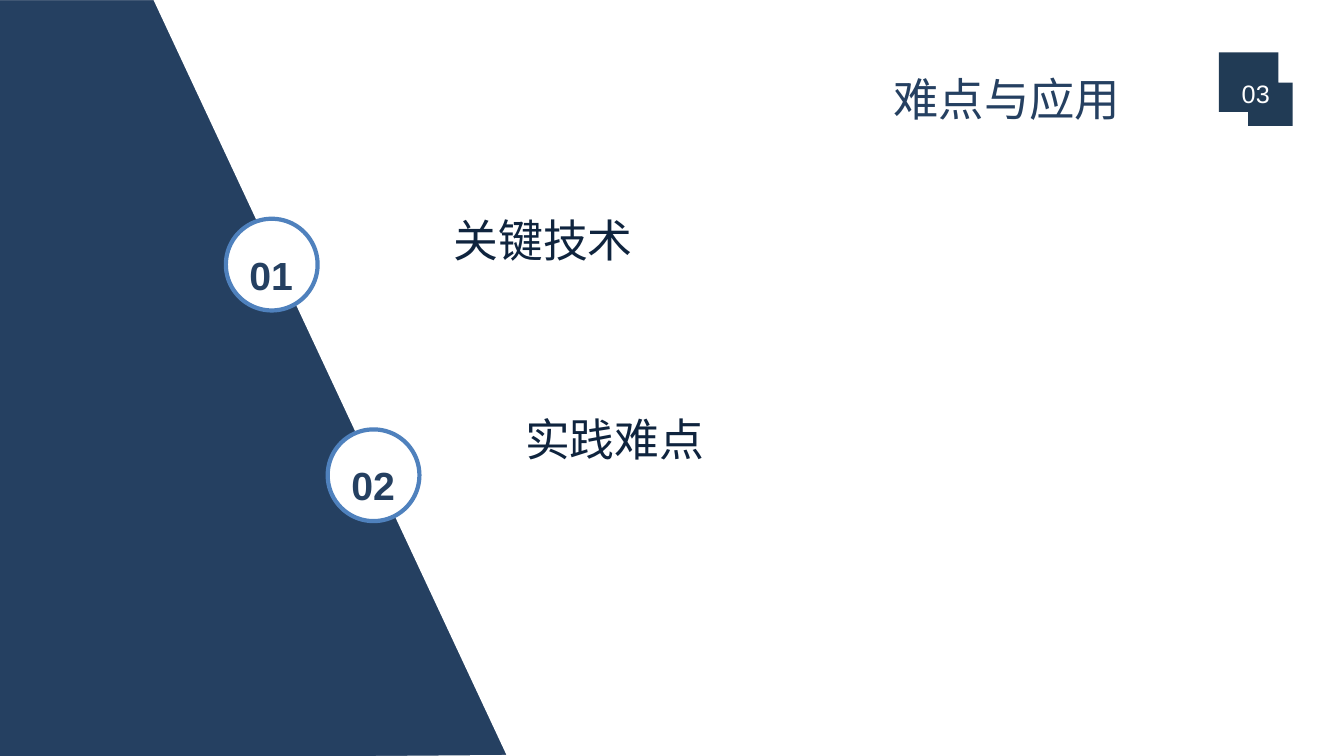
import pptx
import pptx.util
import pptx.dml.color
import pptx.enum.shapes
import pptx.enum.text
import pptx.oxml.ns
import lxml.etree

Inches = pptx.util.Inches
Pt = pptx.util.Pt
ALIGN = pptx.enum.text.PP_ALIGN
ANCHOR = pptx.enum.text.MSO_ANCHOR

NAVY = "254061"
BADGE = "213B55"
INK = "0F243E"
RING = "4F81BD"
WHITE = "FFFFFF"
LATIN = "Arial"
CJK = "Noto Sans CJK SC"


def color(value):
    return pptx.dml.color.RGBColor.from_string(value)


class Deck:
    def __init__(self, width, height):
        self.presentation = pptx.Presentation()
        self.presentation.slide_width = Inches(width)
        self.presentation.slide_height = Inches(height)
        self.slide = self.presentation.slides.add_slide(self.presentation.slide_layouts[6])

    def paint(self, shape, fill, line=None, weight=0):
        shape.shadow.inherit = False
        shape.fill.solid()
        shape.fill.fore_color.rgb = color(fill)
        if line:
            shape.line.color.rgb = color(line)
            shape.line.width = Pt(weight)
        else:
            shape.line.fill.background()

    def outline(self, points, fill, line=None, weight=0):
        corners = [(Inches(x), Inches(y)) for x, y in points]
        builder = self.slide.shapes.build_freeform(*corners[0])
        builder.add_line_segments(corners[1:], close=True)
        shape = builder.convert_to_shape()
        self.paint(shape, fill, line, weight)
        return shape

    def add_text(self, paragraph, text, size, ink, bold=False, font=LATIN,
                 align=ALIGN.CENTER, spacing=1.3):
        paragraph.alignment = align
        paragraph.line_spacing = spacing
        run = paragraph.add_run()
        run.text = text
        run.font.size = Pt(size)
        run.font.bold = bold
        run.font.name = font
        run.font.color.rgb = color(ink)
        east_asian = lxml.etree.SubElement(
            run.font._element, pptx.oxml.ns.qn("a:ea"))
        east_asian.set("typeface", CJK)

    def text_frame(self, parent, left, top, width, height, anchor=ANCHOR.TOP):
        box = parent.shapes.add_textbox(
            Inches(left), Inches(top), Inches(width), Inches(height))
        box.text_frame.word_wrap = True
        box.text_frame.vertical_anchor = anchor
        return box.text_frame

    def number_circle(self, left, top, number):
        group = self.slide.shapes.add_group_shape()
        circle = group.shapes.add_shape(
            pptx.enum.shapes.MSO_SHAPE.OVAL,
            Inches(left), Inches(top), Inches(0.91), Inches(0.91))
        self.paint(circle, WHITE, RING, 3)
        label = self.text_frame(group, left + 0.08, top + 0.13, 0.74, 0.65)
        self.add_text(label.paragraphs[0], number, 28, NAVY, bold=True)

    def title(self, text):
        frame = self.text_frame(self.slide, 7.04, 0.52, 5.89, 0.73, ANCHOR.BOTTOM)
        frame.margin_bottom = Inches(0)
        self.add_text(frame.paragraphs[0], text, 32.4, NAVY)

    def topics(self, names, gap, indent):
        frame = self.text_frame(self.slide, 4.4, 2.06, 8.5, 3.4)
        for index, name in enumerate(names):
            topic = frame.add_paragraph() if index else frame.paragraphs[0]
            self.add_text(topic, name, 32, INK, font=CJK, align=ALIGN.LEFT, spacing=1.0)
            if index:
                topic.space_before = Pt(gap)
                topic._p.get_or_add_pPr().set("marL", str(Inches(indent * index)))

    def badge(self, points, number):
        shape = self.outline(points, BADGE)
        shape.text_frame.vertical_anchor = ANCHOR.MIDDLE
        self.add_text(shape.text_frame.paragraphs[0], number, 18, WHITE)


def main():
    deck = Deck(13.33, 7.5)
    deck.title("难点与应用")
    names = ["关键技术", "实践难点"]
    deck.topics(names, gap=104, indent=0.71)
    deck.outline([(5.04, 7.5), (1.53, -0.01), (-0.03, -0.01), (-0.01, 7.54)],
                 NAVY, WHITE, 1.5)
    for index in range(len(names)):
        deck.number_circle(2.24 + 1.01 * index, 2.17 + 2.09 * index, f"{index + 1:02d}")
    deck.badge([(12.09, 0.52), (12.68, 0.52), (12.68, 0.82), (12.82, 0.82),
                (12.82, 1.25), (12.38, 1.25), (12.38, 1.11), (12.09, 1.11)], "03")
    deck.presentation.save("out.pptx")


if __name__ == "__main__":
    main()
